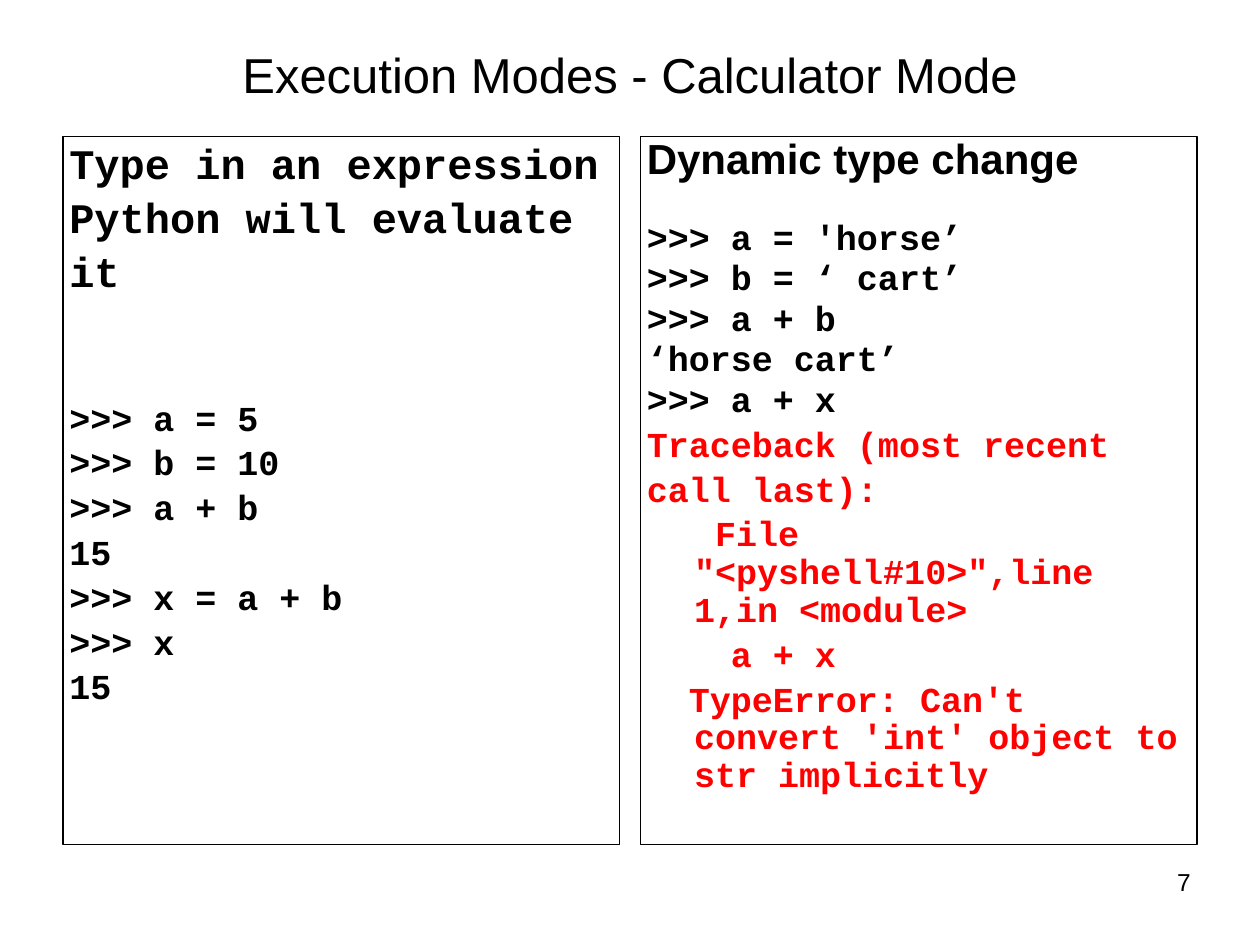
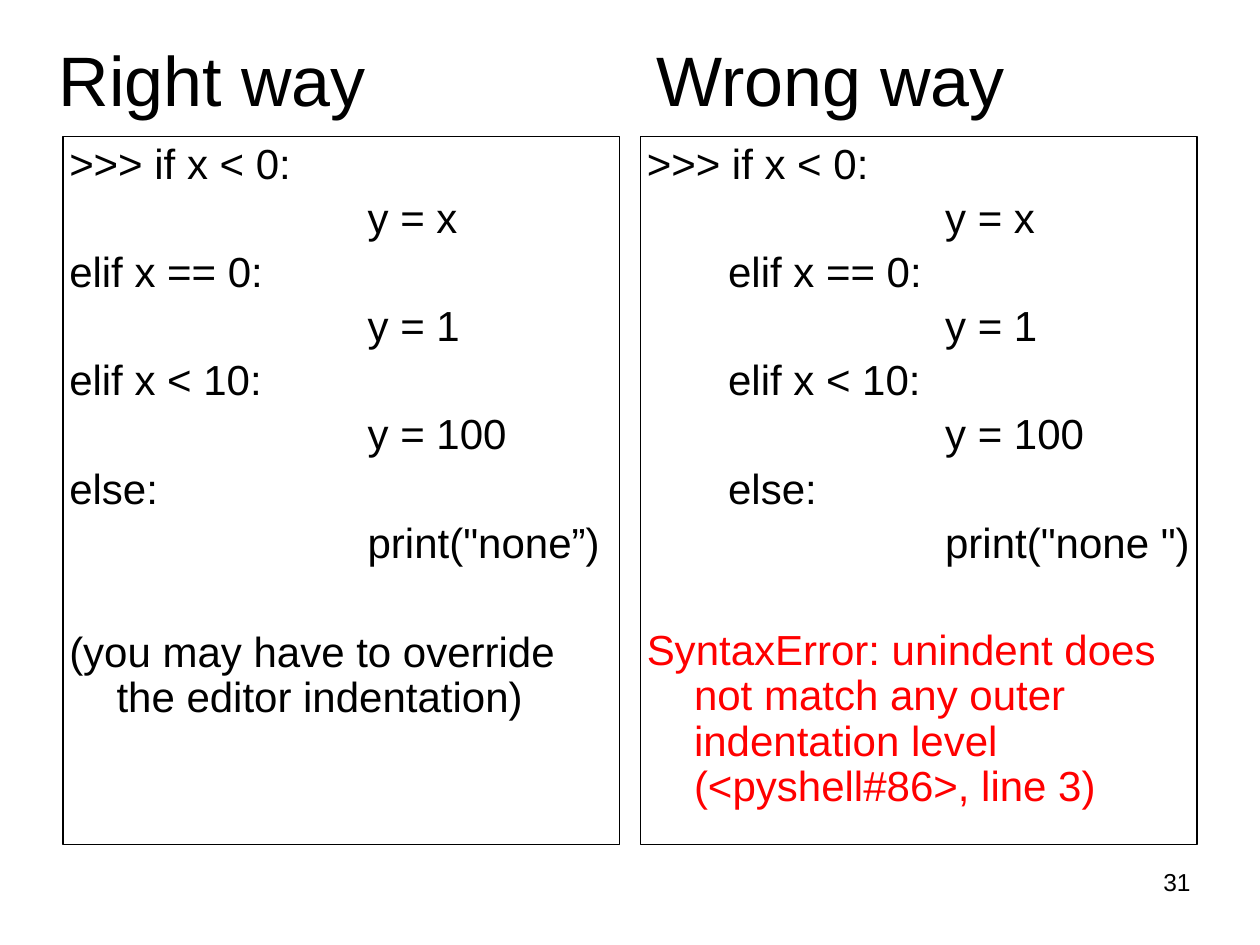
from dataclasses import dataclass

from lxml import etree
from pptx import Presentation
from pptx.dml.color import RGBColor
from pptx.enum.shapes import MSO_SHAPE
from pptx.enum.text import MSO_ANCHOR, PP_ALIGN
from pptx.oxml.ns import qn
from pptx.util import Pt

RECT = MSO_SHAPE.RECTANGLE
TOP, MIDDLE = MSO_ANCHOR.TOP, MSO_ANCHOR.MIDDLE
LEFT, CENTER, RIGHT = PP_ALIGN.LEFT, PP_ALIGN.CENTER, PP_ALIGN.RIGHT


@dataclass(frozen=True)
class Theme:
    ink: RGBColor = RGBColor(0, 0, 0)
    error: RGBColor = RGBColor(255, 0, 0)
    sans: str = "Arial"
    mono: str = "Courier New"
    head: int = 28
    banner: int = 40
    large: int = 24
    code: int = 20
    page: int = 14
    inset: float = 3.6
    border: float = 0.75
    leading: float = 1.2


THEME = Theme()
HANG = 27
DEEP = 170.5
PANES = (36, 366)  # left edges of the two panels
PANE_TOP, PANE_WIDTH, PANE_HEIGHT = 78, 318, 404.5
EDGE = PANES[1] + PANE_WIDTH


@dataclass
class Row:
    """One paragraph: indents, space before and line scale, in points."""
    text: str
    left: float = HANG
    first: float = -HANG
    gap: float = 5
    size: int = THEME.large
    face: str = THEME.sans
    bold: bool = False
    color: RGBColor = THEME.ink
    scale: float = 0.9


def code(text, **more):
    style = dict(gap=4, size=THEME.code, face=THEME.mono, bold=True)
    return Row(text, **(style | more))


def fault(text, **more):
    return code(text, color=THEME.error, **more)


def deep(text):
    return Row(text, left=DEEP, first=0)


def set_frame(frame, anchor, wrap=True):
    frame.word_wrap = wrap
    frame.vertical_anchor = anchor
    frame.margin_left = frame.margin_right = Pt(THEME.inset)
    frame.margin_top = frame.margin_bottom = Pt(THEME.inset)


def set_font(para, size, face=THEME.sans, color=THEME.ink, bold=False):
    font = para.font
    font.name, font.size, font.bold = face, Pt(size), bold
    font.color.rgb = color


def add_label(slide, text, box, size, align, anchor=MIDDLE, wrap=True):
    frame = slide.shapes.add_textbox(*map(Pt, box)).text_frame
    set_frame(frame, anchor, wrap)
    para = frame.paragraphs[0]
    para.text, para.alignment = text, align
    set_font(para, size)
    return para


def add_tab(para, place):
    stops = etree.SubElement(para._p.get_or_add_pPr(), qn("a:tabLst"))
    etree.SubElement(stops, qn("a:tab"), pos=str(Pt(place)), algn="l")


def add_page(slide, number):
    width = 8 + 8 * len(number)
    add_label(slide, number, (EDGE - width, 492, width, 23),
              THEME.page, RIGHT, TOP, wrap=False)


def add_row(para, row):
    para.text, para.alignment = row.text, LEFT
    para.space_before = Pt(row.gap)
    para.line_spacing = Pt(round(row.size * THEME.leading * row.scale, 2))
    props = para._p.get_or_add_pPr()
    props.set("marL", str(Pt(row.left)))
    props.set("indent", str(Pt(row.first)))
    set_font(para, row.size, row.face, row.color, row.bold)


def add_pane(slide, left, rows):
    shape = slide.shapes.add_shape(
        RECT, Pt(left), Pt(PANE_TOP), Pt(PANE_WIDTH), Pt(PANE_HEIGHT))
    shape.shadow.inherit = False
    shape.fill.background()
    shape.line.color.rgb = THEME.ink
    shape.line.width = Pt(THEME.border)
    frame = shape.text_frame
    set_frame(frame, TOP)
    for index, row in enumerate(rows):
        para = frame.add_paragraph() if index else frame.paragraphs[0]
        add_row(para, row)


def add_slide(deck, number, panes):
    slide = deck.slides.add_slide(deck.slide_layouts[6])
    add_page(slide, number)
    for left, rows in zip(PANES, panes):
        add_pane(slide, left, rows)
    return slide


def branches(step, ending):
    """List the if-chain, with its later tests moved in by step."""
    def test(text):
        return Row(text, left=step + HANG)

    return [
        Row(">>> if x < 0:"), deep("y = x"),
        test("elif x == 0:"), deep("y = 1"),
        test("elif x < 10:"), deep("y = 100"),
        test("else:"), deep(ending),
    ]


def calc_slide(deck):
    intro = ["Type in an expression", "Python will evaluate", "it"]
    sums = [">>> b = 10", ">>> a + b", "15", ">>> x = a + b", ">>> x", "15"]
    words = [">>> b = ‘ cart’", ">>> a + b", "‘horse cart’", ">>> a + x"]
    basics = [Row(text, face=THEME.mono, bold=True) for text in intro]
    basics += [code(">>> a = 5", gap=59.5)]
    basics += [code(text) for text in sums]
    types = [
        Row("Dynamic type change", bold=True, scale=0.8),
        code(">>> a = 'horse’", gap=23.2, scale=0.8),
        *[code(text, scale=0.8) for text in words],
        fault("Traceback (most recent"),
        fault("call last):"),
        fault('File "<pyshell#10>",line 1,in <module>', first=12),
        fault("a + x", left=48, first=0),
        fault("TypeError: Can't convert 'int' object to str implicitly",
              first=-3),
    ]
    slide = add_slide(deck, "7", (basics, types))
    add_label(slide, "Execution Modes - Calculator Mode",
              (36, 18, 648, 48), THEME.head, CENTER)


def indent_slide(deck):
    right = branches(0, 'print("none”)')
    right += [Row("(you may have to override the editor indentation)",
                  gap=36.5)]
    wrong = branches(46.5, 'print("none ")')
    wrong += [Row("SyntaxError: unindent does not match any outer "
                  "indentation level (<pyshell#86>, line 3)",
                  gap=35.5, color=THEME.error)]
    slide = add_slide(deck, "31", (right, wrong))
    title = add_label(slide, "Right way\tWrong way",
                      (30, 18, 648, 54), THEME.banner, LEFT)
    add_tab(title, 341.5)


def main():
    deck = Presentation()
    deck.slide_width, deck.slide_height = Pt(720), Pt(540)
    calc_slide(deck)
    indent_slide(deck)
    deck.save("out.pptx")


if __name__ == "__main__":
    main()
